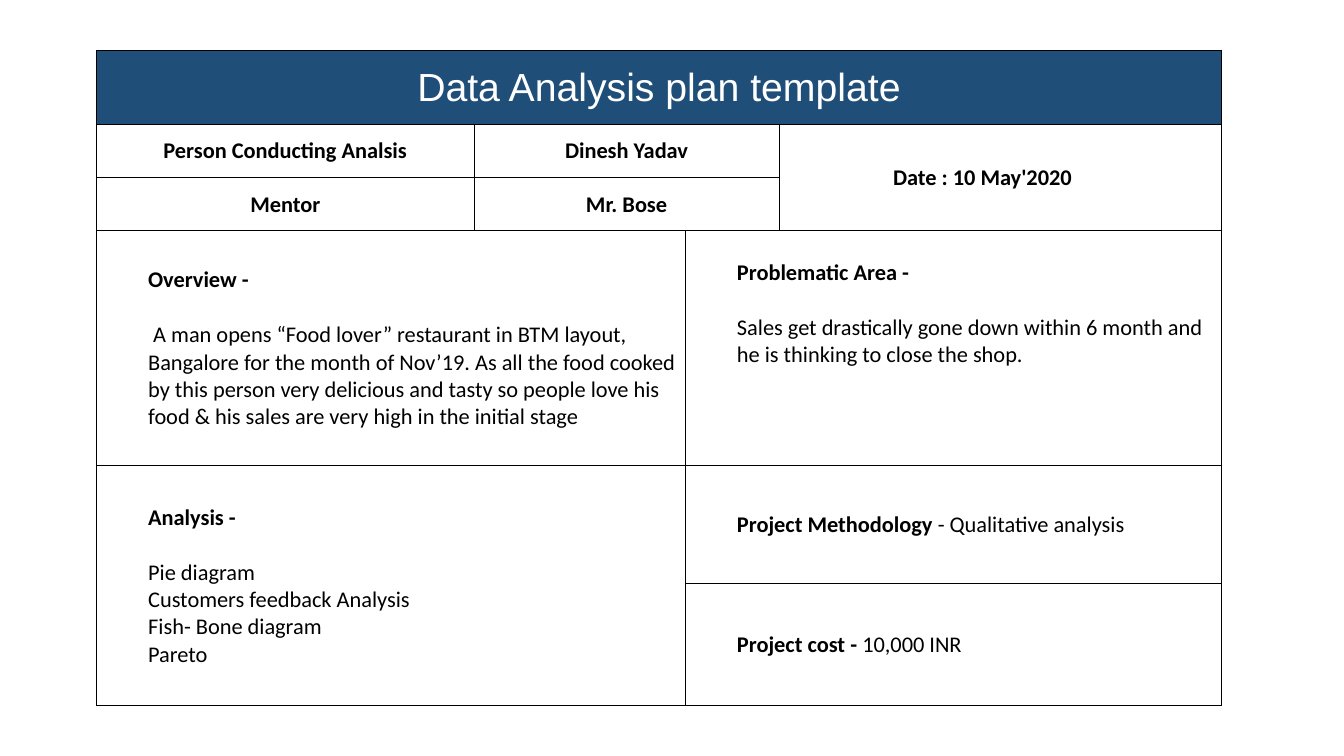
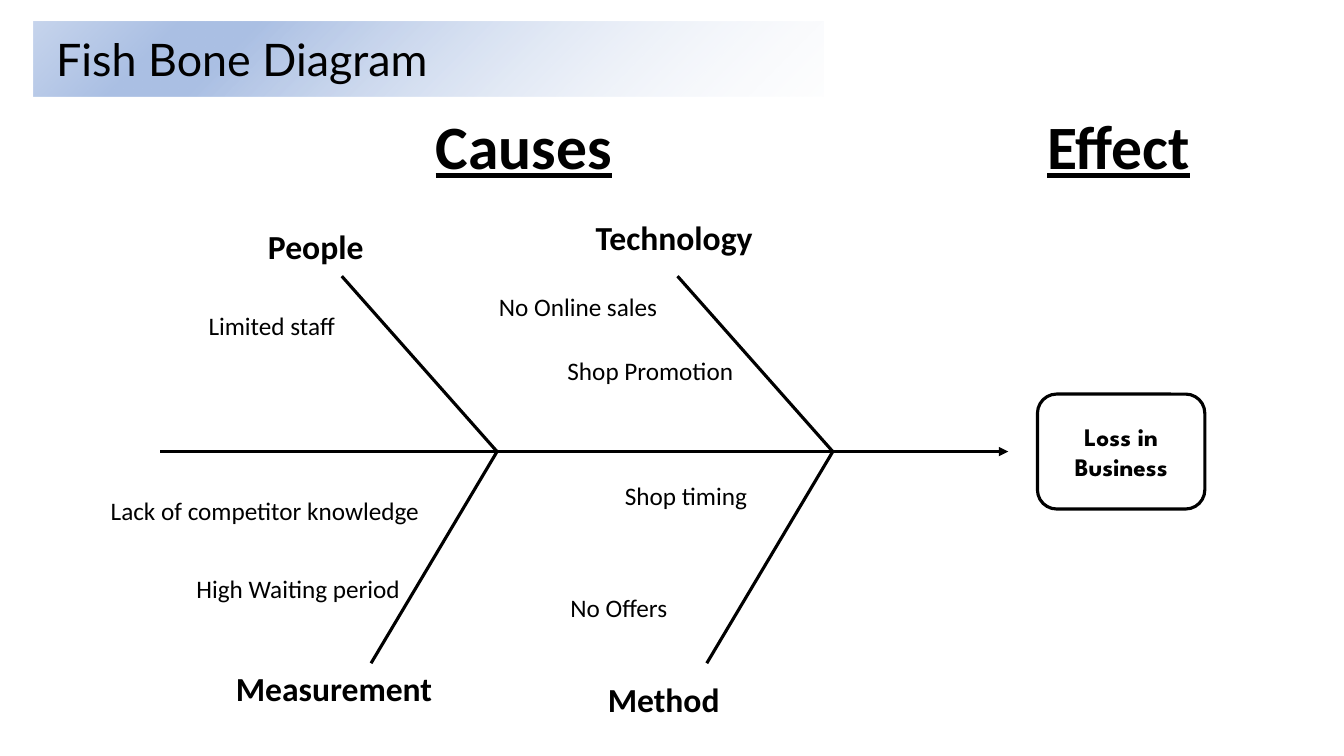
from lxml import etree
from pptx import Presentation
from pptx.dml.color import RGBColor
from pptx.enum.shapes import MSO_CONNECTOR, MSO_SHAPE
from pptx.enum.text import MSO_ANCHOR, MSO_AUTO_SIZE, PP_ALIGN
from pptx.oxml import parse_xml
from pptx.oxml.ns import nsdecls, qn
from pptx.util import Inches, Pt

RECT, ROUND = MSO_SHAPE.RECTANGLE, MSO_SHAPE.ROUNDED_RECTANGLE
STRAIGHT = MSO_CONNECTOR.STRAIGHT
TOP, MIDDLE = MSO_ANCHOR.TOP, MSO_ANCHOR.MIDDLE
LEFT, CENTER = PP_ALIGN.LEFT, PP_ALIGN.CENTER
GROW = MSO_AUTO_SIZE.SHAPE_TO_FIT_TEXT

# Theme: colours, band stops (place, colour, opacity) and type styles
THEME = {
    "ink": RGBColor(0, 0, 0),
    "paper": RGBColor(255, 255, 255),
    "navy": RGBColor(0x1F, 0x4E, 0x78),
    "stroke": Pt(2.25),
    "band": [(0, "F6F8FC", 14), (74, "ABC0E4", 100),
             (83, "ABC0E4", 100), (100, "C7D5ED", 100)],
    "banner": {"name": "Arial", "size": Pt(28), "bold": False},
    "strong": {"name": "Calibri", "size": Pt(16), "bold": True},
    "plain": {"name": "Calibri", "size": Pt(16), "bold": False},
    "title": {"name": "Lato", "size": Pt(32), "bold": False},
    "head": {"name": "Calibri", "size": Pt(44), "bold": True, "underline": True},
    "bone": {"name": "Calibri", "size": Pt(24), "bold": True},
    "cause": {"name": "Calibri", "size": Pt(18), "bold": False},
    "result": {"name": "League Spartan", "size": Pt(18), "bold": True},
}


def write(frame, lines, align=LEFT, color=THEME["ink"]):
    """Each line is (space before in points, [(text, style), ...])."""
    for i, (gap, runs) in enumerate(lines):
        para = frame.paragraphs[0] if i == 0 else frame.add_paragraph()
        para.alignment = align
        if gap:
            para.space_before = Pt(gap)
        for text, style in runs:
            run = para.add_run()
            run.text = text
            run.font.color.rgb = color
            for key, value in THEME[style].items():
                setattr(run.font, key, value)


def draw(slide, start, end, arrow=False):
    ends = [Inches(v) for v in (*start, *end)]
    line = slide.shapes.add_connector(STRAIGHT, *ends)
    line.line.color.rgb = THEME["ink"]
    line.line.width = THEME["stroke"]
    props = line._element.spPr
    if arrow:
        etree.SubElement(props.find(qn("a:ln")), qn("a:tailEnd"), type="triangle")
    etree.SubElement(props, qn("a:effectLst"))


deck = Presentation()
deck.slide_width, deck.slide_height = Inches(13.33), Inches(7.5)
blank = deck.slide_layouts[6]

# Slide 1: plan table
plan = deck.slides.add_slide(blank)
cols = [3.74, 2.1, 0.93, 4.38]
rows = [0.73, 0.53, 0.53, 2.33, 1.17, 1.21]
table = plan.shapes.add_table(
    len(rows), len(cols), Inches(0.96), Inches(0.5),
    Inches(sum(cols)), Inches(sum(rows))).table
table.first_row = table.horz_banding = False
for col, width in zip(table.columns, cols):
    col.width = Inches(width)
for row, height in zip(table.rows, rows):
    row.height = Inches(height)

# Thin border and clear fill on every cell
for cell in table.iter_cells():
    props = cell._tc.get_or_add_tcPr()
    for side in ("lnL", "lnR", "lnT", "lnB"):
        props.append(parse_xml(
            f'<a:{side} {nsdecls("a")} w="6350"><a:solidFill>'
            f'<a:srgbClr val="{THEME["ink"]}"/></a:solidFill></a:{side}>'))
    cell.fill.background()

# Header cells: row, column, rows spanned, columns spanned, text
heads = [
    (0, 0, 1, 4, "Data Analysis plan template"),
    (1, 0, 1, 1, "Person Conducting Analsis"),
    (1, 1, 1, 2, "Dinesh Yadav"),
    (1, 3, 2, 1, "Date : 10 May'2020"),
    (2, 0, 1, 1, "Mentor"),
    (2, 1, 1, 2, "Mr. Bose"),
]
# Body cells: the same, with lines in place of the text
skip = 19.5
bodies = [
    (3, 0, 1, 2, [
        (0, [("Overview -", "strong")]),
        (skip, [(" A man opens “Food lover” restaurant in BTM layout, "
                 "Bangalore for the month of Nov’19. As all the food cooked "
                 "by this person very delicious and tasty so people love his "
                 "food & his sales are very high in the initial stage", "plain")])]),
    (3, 2, 1, 2, [
        (0, [("Problematic Area -", "strong")]),
        (skip, [("Sales get drastically gone down within 6 month and "
                 "he is thinking to close the shop.", "plain")])]),
    (4, 0, 2, 2, [
        (0, [("Analysis -", "strong")]),
        (skip, [("Pie diagram", "plain")]),
        (0, [("Customers feedback Analysis", "plain")]),
        (0, [("Fish- Bone diagram", "plain")]),
        (0, [("Pareto", "plain")])]),
    (4, 2, 1, 2, [
        (0, [("Project Methodology", "strong"),
             (" - Qualitative analysis", "plain")])]),
    (5, 2, 1, 2, [
        (0, [("Project cost - ", "strong"), ("10,000 INR", "plain")])]),
]
for r, c, down, across, text in heads + bodies:
    cell = table.cell(r, c)
    if down * across > 1:
        cell.merge(table.cell(r + down - 1, c + across - 1))
    body = isinstance(text, list)
    look = {
        "margin_left": Inches(0.51 if body else 0.01),
        "margin_right": Inches(0.01),
        "margin_top": Inches(0.01),
        "margin_bottom": 0,
        "vertical_anchor": MIDDLE,
    }
    for key, value in look.items():
        setattr(cell, key, value)
    if body:
        write(cell.text_frame, text)
    elif r == 0:
        cell.fill.solid()
        cell.fill.fore_color.rgb = THEME["navy"]
        write(cell.text_frame, [(0, [(text, "banner")])], CENTER, THEME["paper"])
    else:
        write(cell.text_frame, [(0, [(text, "strong")])], CENTER)

# The date sits left of centre, the problem text hangs from the top
table.cell(1, 3).margin_right = Inches(0.36)
problem = table.cell(3, 2)
problem.vertical_anchor = TOP
problem.margin_top = Inches(0.28)

# Slide 2: fish bone
fish = deck.slides.add_slide(blank)

# Title band
band = fish.shapes.add_shape(RECT, Inches(0.33), Inches(0.21), Inches(7.84), Inches(0.75))
band.shadow.inherit = False
band.line.fill.background()
stops = "".join(
    f'<a:gs pos="{at * 1000}"><a:srgbClr val="{color}">'
    f'<a:alpha val="{alpha * 1000}"/></a:srgbClr></a:gs>'
    for at, color, alpha in THEME["band"])
band._element.spPr.insert(2, parse_xml(
    f'<a:gradFill {nsdecls("a")} rotWithShape="1"><a:gsLst>{stops}</a:gsLst>'
    f'<a:lin ang="{225 * 60000}" scaled="1"/></a:gradFill>'))

# Spine and ribs
spine = 4.48
draw(fish, (1.59, spine), (10, spine), arrow=True)
for joint in (4.93, 8.26):
    for dx, dy in ((-1.54, -1.74), (-1.25, 2.1)):
        draw(fish, (joint + dx, spine + dy), (joint, spine))

# Labels: style, left, top, width, height, text
labels = [
    ("title", 0.46, 0.27, 6.77, 0.64, "Fish Bone Diagram"),
    ("head", 4.21, 1.02, 1.97, 0.84, "Causes"),
    ("head", 10.27, 1.02, 1.65, 0.84, "Effect"),
    ("bone", 2.56, 2.19, 2.83, 0.47, "People"),
    ("bone", 5.81, 2.1, 2.83, 0.47, "Technology"),
    ("bone", 2.24, 6.58, 2.83, 0.47, "Measurement"),
    ("bone", 5.93, 6.69, 2.83, 0.47, "Method"),
    ("cause", 1.97, 3.03, 1.47, 0.38, "Limited staff"),
    ("cause", 4.85, 2.84, 1.79, 0.38, "No Online sales"),
    ("cause", 5.53, 3.48, 1.87, 0.38, "Shop Promotion"),
    ("cause", 1, 4.86, 3.3, 0.38, "Lack of competitor knowledge"),
    ("cause", 1.85, 5.64, 2.25, 0.38, "High Waiting period"),
    ("cause", 6.1, 4.72, 1.43, 0.38, "Shop timing"),
    ("cause", 5.56, 5.83, 1.18, 0.38, "No Offers"),
]
for style, *place, text in labels:
    frame = fish.shapes.add_textbox(*[Inches(v) for v in place]).text_frame
    frame.word_wrap = style in ("title", "bone")
    frame.auto_size = GROW
    write(frame, [(0, [(text, style)])], CENTER if style == "head" else LEFT)
    if style == "head":
        frame.paragraphs[0].runs[0].font._element.insert(0, parse_xml(
            f'<a:ln {nsdecls("a")} w="9525"><a:solidFill>'
            f'<a:srgbClr val="{THEME["paper"]}"/></a:solidFill></a:ln>'))

# Effect box
box = fish.shapes.add_shape(ROUND, Inches(10.29), Inches(3.91), Inches(1.66), Inches(1.14))
box.shadow.inherit = False
box.fill.solid()
box.fill.fore_color.rgb = THEME["paper"]
box.line.color.rgb = THEME["ink"]
box.line.width = THEME["stroke"]
box.text_frame.word_wrap = True
box.text_frame.vertical_anchor = MIDDLE
write(box.text_frame, [(0, [("Loss in Business", "result")])], CENTER)

deck.save("out.pptx")
